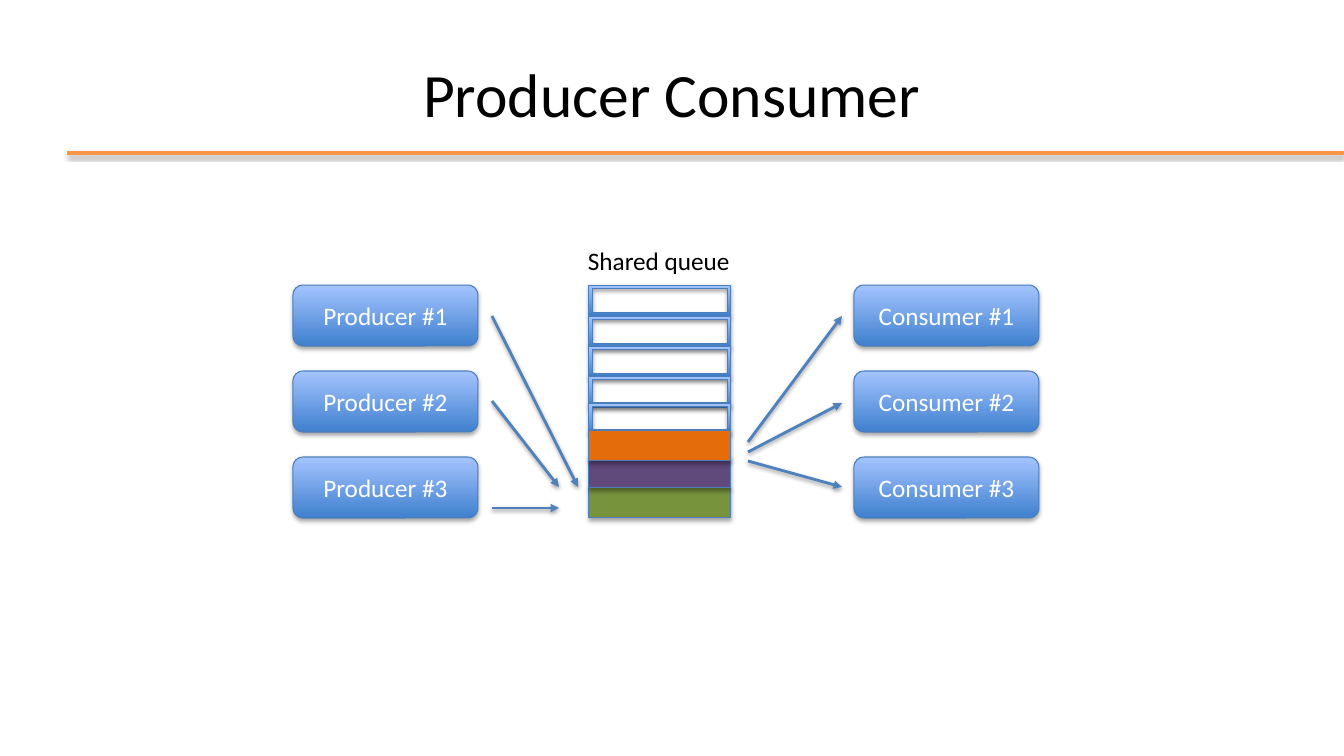
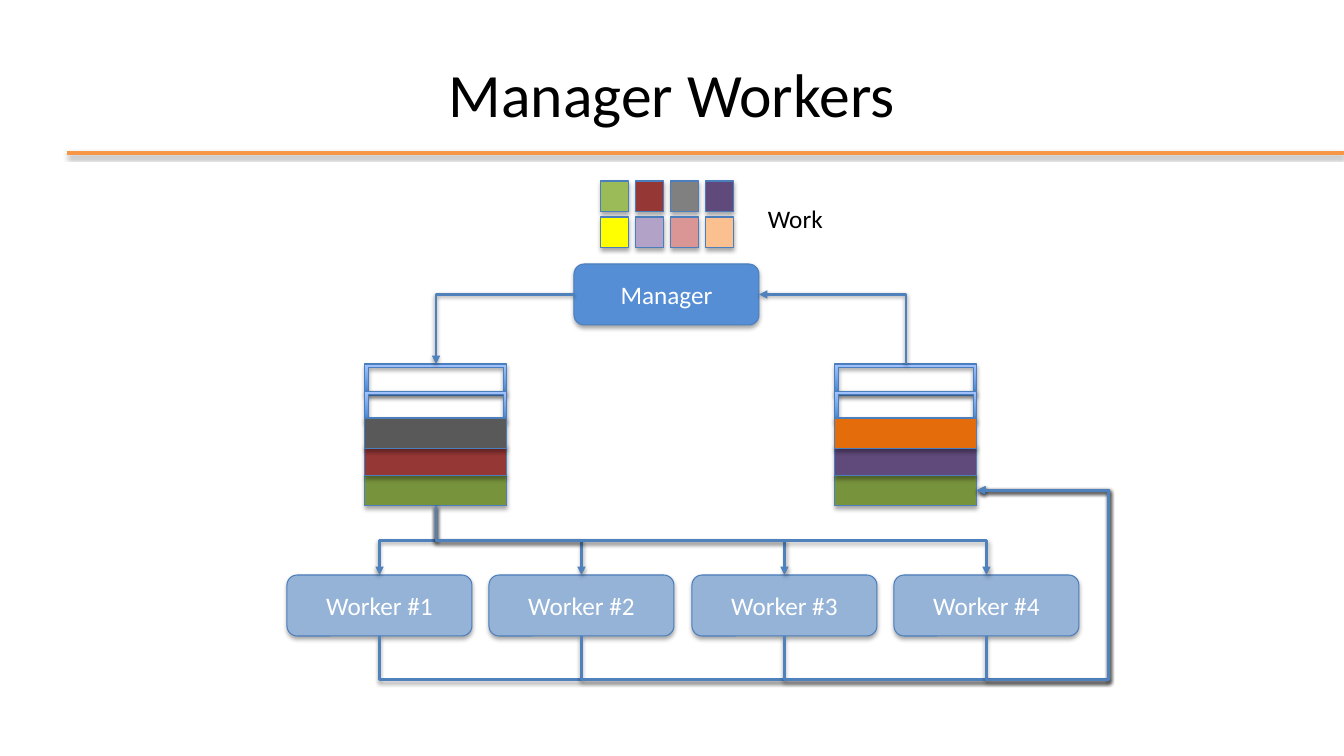
"""Draw the producer-consumer and manager-workers patterns."""
from dataclasses import dataclass

from lxml import etree
from pptx import Presentation
from pptx.dml.color import RGBColor
from pptx.enum.shapes import MSO_CONNECTOR, MSO_SHAPE
from pptx.enum.text import MSO_ANCHOR, MSO_AUTO_SIZE, PP_ALIGN
from pptx.oxml.ns import qn
from pptx.presentation import Presentation as Deck
from pptx.shapes.autoshape import Shape
from pptx.shapes.connector import Connector
from pptx.slide import Slide, SlideLayout
from pptx.text.text import TextFrame
from pptx.util import Emu, Pt

STRAIGHT, ELBOW = MSO_CONNECTOR.STRAIGHT, MSO_CONNECTOR.ELBOW
RECT, ROUNDED, FRAME = MSO_SHAPE.RECTANGLE, MSO_SHAPE.ROUNDED_RECTANGLE, MSO_SHAPE.FRAME
LEFT, CENTER, MIDDLE = PP_ALIGN.LEFT, PP_ALIGN.CENTER, MSO_ANCHOR.MIDDLE
FIT_TEXT = MSO_AUTO_SIZE.SHAPE_TO_FIT_TEXT

BLACK = RGBColor(0x00, 0x00, 0x00)
WHITE = RGBColor(0xFF, 0xFF, 0xFF)
RULE_ORANGE = RGBColor(0xF7, 0x96, 0x46)
OUTLINE = RGBColor(0x4B, 0x7E, 0xBC)
ARROW_BLUE = RGBColor(0x4F, 0x81, 0xBD)
GRADIENT = (RGBColor(0x3F, 0x80, 0xCE), RGBColor(0xA4, 0xC4, 0xFF))
MANAGER_BLUE = RGBColor(0x55, 0x8E, 0xD5)
WORKER_BLUE = RGBColor(0x95, 0xB3, 0xD7)
GREEN = RGBColor(0x77, 0x93, 0x3C)
PURPLE = RGBColor(0x60, 0x4A, 0x7B)
ORANGE = RGBColor(0xE4, 0x6C, 0x0A)
RED = RGBColor(0x95, 0x37, 0x35)
DARK_GRAY = RGBColor(0x59, 0x59, 0x59)
GRAY = RGBColor(0x80, 0x80, 0x80)
LIGHT_GREEN = RGBColor(0x9B, 0xBB, 0x59)
YELLOW = RGBColor(0xFF, 0xFF, 0x00)
LILAC = RGBColor(0xB3, 0xA2, 0xC7)
PINK = RGBColor(0xD9, 0x96, 0x94)
PEACH = RGBColor(0xFA, 0xC0, 0x90)

FONT = "Calibri"
EMU_PER_PX = 914400 / 100.8
SLIDE_W, SLIDE_H = 1344, 756
BOX_W, BOX_H = 185, 61
SLOT_W, SLOT_H = 142, 31
SLOT_RISES = (31, 61, 88, 115, 142, 172, 202, 233)
TOP, LEFT_SIDE, BOTTOM, RIGHT_SIDE = range(4)
RETURN_BUS = (1109, 680)


@dataclass(frozen=True)
class Box:
    """A labelled rounded box; without a fill it takes the blue gradient."""
    text: str
    x: int
    y: int
    fill: RGBColor | None = None


@dataclass(frozen=True)
class Queue:
    """A stack of slots, its loads listed from the bottom up."""
    x: int
    bottom: int
    slots: int
    loads: tuple[RGBColor, ...]


@dataclass(frozen=True)
class Arrow:
    """A straight arrow between two points."""
    x1: int
    y1: int
    x2: int
    y2: int


@dataclass(frozen=True)
class Elbow:
    """A bent arrow glued to two shapes, with an optional lane to pass through."""
    source: Shape
    source_site: int
    target: Shape
    target_site: int
    preset: str
    rotation: int
    flips: tuple[str, ...]
    lane: tuple[int, int] | None = None


def px(length: float) -> Emu:
    """Turn pixels into EMU."""
    return Emu(round(length * EMU_PER_PX))


def write(frame: TextFrame, text: str, size: int, color: RGBColor, align: PP_ALIGN) -> None:
    """Write one run in the shared font."""
    paragraph = frame.paragraphs[0]
    paragraph.alignment = align
    run = paragraph.add_run()
    run.text = text
    run.font.name = FONT
    run.font.size = Pt(size)
    run.font.color.rgb = color


def draw_shape(slide: Slide, kind: MSO_SHAPE, x: int, y: int, w: int, h: int,
               fill: RGBColor | None = None) -> Shape:
    """Draw a thinly outlined shape that keeps the theme shadow."""
    shape = slide.shapes.add_shape(kind, px(x), px(y), px(w), px(h))
    if fill is None:
        shape.fill.gradient()
        shape.fill.gradient_angle = 90
        for stop, color in zip(shape.fill.gradient_stops, GRADIENT):
            stop.color.rgb = color
    else:
        shape.fill.solid()
        shape.fill.fore_color.rgb = fill
    shape.line.color.rgb = OUTLINE
    shape.line.width = Pt(0.75)
    return shape


def draw_box(slide: Slide, box: Box) -> Shape:
    """Draw a labelled box."""
    shape = draw_shape(slide, ROUNDED, box.x, box.y, BOX_W, BOX_H, box.fill)
    shape.text_frame.vertical_anchor = MIDDLE
    write(shape.text_frame, box.text, 18, WHITE, CENTER)
    return shape


def draw_queue(slide: Slide, queue: Queue) -> list[Shape]:
    """Draw empty slots downwards, then loads upwards; return slots bottom first."""
    loaded = len(queue.loads)
    tops = [queue.bottom - rise for rise in SLOT_RISES[:queue.slots]]
    empty = [draw_shape(slide, FRAME, queue.x, top, SLOT_W, SLOT_H)
             for top in reversed(tops[loaded:])]
    full = [draw_shape(slide, RECT, queue.x, top, SLOT_W, SLOT_H, load)
            for top, load in zip(tops, queue.loads)]
    return full + empty[::-1]


def draw_label(slide: Slide, text: str, x: int, y: int, w: int) -> None:
    """Draw a one-line caption."""
    frame = slide.shapes.add_textbox(px(x), px(y), px(w), px(40)).text_frame
    frame.word_wrap = False
    frame.auto_size = FIT_TEXT
    write(frame, text, 18, BLACK, LEFT)


def style_arrow(connector: Connector) -> None:
    """Give a connector the arrow colour, width and head."""
    connector.line.color.rgb = ARROW_BLUE
    connector.line.width = Pt(2)
    line = connector.element.spPr.find(qn("a:ln"))
    etree.SubElement(line, qn("a:tailEnd"), type="triangle")


def draw_arrow(slide: Slide, arrow: Arrow) -> None:
    """Draw a straight arrow."""
    style_arrow(slide.shapes.add_connector(
        STRAIGHT, px(arrow.x1), px(arrow.y1), px(arrow.x2), px(arrow.y2)))


def draw_elbow(slide: Slide, elbow: Elbow) -> None:
    """Draw a bent arrow, turned about the midpoint of its two ends."""
    connector = slide.shapes.add_connector(ELBOW, 0, 0, 0, 0)
    connector.begin_connect(elbow.source, elbow.source_site)
    connector.end_connect(elbow.target, elbow.target_site)
    x1, y1 = connector.begin_x, connector.begin_y
    x2, y2 = connector.end_x, connector.end_y
    w, h = abs(x2 - x1), abs(y2 - y1)
    if elbow.rotation % 180:
        w, h = h, w
    connector.left, connector.top = Emu((x1 + x2 - w) // 2), Emu((y1 + y2 - h) // 2)
    connector.width, connector.height = Emu(w), Emu(h)

    properties = connector.element.spPr
    transform = properties.find(qn("a:xfrm"))
    transform.set("rot", str(elbow.rotation * 60000))
    for flip in ("flipH", "flipV"):
        transform.set(flip, str(int(flip in elbow.flips)))
    geometry = properties.find(qn("a:prstGeom"))
    geometry.set("prst", elbow.preset)
    if elbow.lane:
        lane_x, lane_y = map(px, elbow.lane)
        ratios = ((lane_y - y1) / (y2 - y1), (lane_x - x1) / (x2 - x1))
        for number, ratio in enumerate(ratios, 1):
            etree.SubElement(geometry.find(qn("a:avLst")), qn("a:gd"),
                             name=f"adj{number}", fmla=f"val {round(ratio * 100000)}")
    style_arrow(connector)


def add_slide(deck: Deck, layout: SlideLayout, title: str) -> Slide:
    """Add a slide with the shared title style."""
    slide = deck.slides.add_slide(layout)
    heading = slide.shapes.title
    heading.left, heading.top, heading.width, heading.height = map(px, (67, 30, 1210, 126))
    heading.text_frame.vertical_anchor = MIDDLE
    write(heading.text_frame, title, 44, BLACK, CENTER)
    return slide


def add_title_rule(slide: Slide, layout: SlideLayout) -> None:
    """Put the orange title rule on the layout that all slides share."""
    rule = slide.shapes.add_connector(STRAIGHT, px(67), px(153), px(SLIDE_W), px(153))
    rule.line.color.rgb = RULE_ORANGE
    rule.line.width = Pt(3)
    layout.shapes.element.append(rule.element)


def draw_producer_consumer(slide: Slide) -> None:
    """Draw producers and consumers around a shared queue."""
    for role, x in (("Producer", 293), ("Consumer", 854)):
        for index in range(3):
            draw_box(slide, Box(f"{role} #{index + 1}", x, 285 + 86 * index))
    draw_queue(slide, Queue(589, 518, 8, (GREEN, PURPLE, ORANGE)))
    draw_label(slide, "Shared queue", 578, 240, 164)
    for arrow in (
        Arrow(492, 508, 559, 508),
        Arrow(492, 401, 559, 487),
        Arrow(492, 316, 578, 487),
        Arrow(748, 442, 842, 316),
        Arrow(748, 452, 842, 403),
        Arrow(748, 461, 842, 487),
    ):
        draw_arrow(slide, arrow)


def draw_manager_workers(slide: Slide) -> None:
    """Draw a manager that feeds workers through two queues."""
    manager = draw_box(slide, Box("Manager", 574, 264, MANAGER_BLUE))
    workers = [draw_box(slide, Box(f"Worker #{i + 1}", 287 + round(202.3 * i), 575, WORKER_BLUE))
               for i in range(4)]
    work = ((LIGHT_GREEN, RED, GRAY, PURPLE), (YELLOW, LILAC, PINK, PEACH))
    for row, colors in enumerate(work):
        for column, color in enumerate(colors):
            draw_shape(slide, RECT, 601 + 35 * column, 181 + 36 * row, 28, 31, color)
    draw_label(slide, "Work", 758, 198, 76)
    tasks = draw_queue(slide, Queue(365, 506, 5, (GREEN, RED, DARK_GRAY)))
    results = draw_queue(slide, Queue(835, 506, 5, (GREEN, PURPLE, ORANGE)))

    draw_elbow(slide, Elbow(manager, LEFT_SIDE, tasks[-1], TOP,
                            "bentConnector2", 180, ("flipV",)))
    for worker in workers:
        leftward = worker.left < tasks[0].left
        draw_elbow(slide, Elbow(tasks[0], BOTTOM, worker, TOP, "bentConnector3",
                                90 if leftward else 270, () if leftward else ("flipH",)))
    for worker in workers:
        center = worker.left + worker.width // 2
        leftward = center > results[0].left + results[0].width
        draw_elbow(slide, Elbow(worker, BOTTOM, results[0], RIGHT_SIDE, "bentConnector4", 90,
                                ("flipH",) if leftward else ("flipH", "flipV"), RETURN_BUS))
    draw_elbow(slide, Elbow(results[-1], TOP, manager, RIGHT_SIDE,
                            "bentConnector2", 270, ("flipV",)))


def main() -> None:
    """Build and save the deck."""
    deck = Presentation()
    deck.slide_width, deck.slide_height = px(SLIDE_W), px(SLIDE_H)
    layout = deck.slide_layouts[5]
    producer_consumer = add_slide(deck, layout, "Producer Consumer")
    add_title_rule(producer_consumer, layout)
    draw_producer_consumer(producer_consumer)
    draw_manager_workers(add_slide(deck, layout, "Manager Workers"))
    deck.save("out.pptx")


main()
